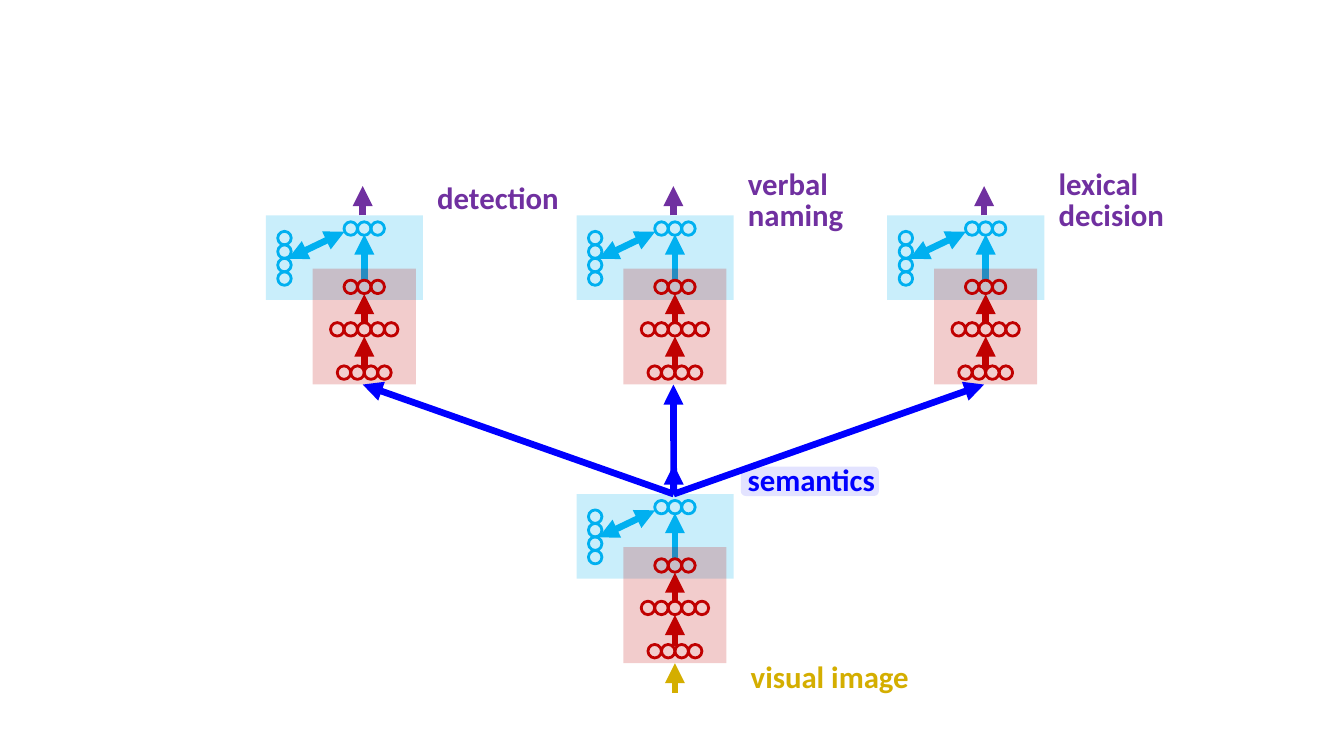
from dataclasses import dataclass

from pptx import Presentation
from pptx.dml.color import RGBColor
from pptx.enum.shapes import MSO_CONNECTOR, MSO_SHAPE
from pptx.enum.text import MSO_AUTO_SIZE
from pptx.oxml.ns import qn
from pptx.util import Cm, Pt
from lxml.etree import SubElement


@dataclass(frozen=True)
class Theme:
    sky: RGBColor = RGBColor(0x00, 0xB0, 0xF0)
    red: RGBColor = RGBColor(0xC0, 0x00, 0x00)
    blue: RGBColor = RGBColor(0x00, 0x00, 0xFF)
    purple: RGBColor = RGBColor(0x70, 0x30, 0xA0)
    gold: RGBColor = RGBColor(0xD4, 0xAE, 0x00)
    font: str = "Calibri"
    label_size: Pt = Pt(22)
    label_spacing: Pt = Pt(22.4)
    arrow_width: Pt = Pt(4.75)
    unit_width: Pt = Pt(2)


THEME = Theme()
UNIT = 0.34
AXIS = 2.48
MODULE_LEFTS = (6.7, 14.53, 22.36)
TASK_TOP = 5.43
SEMANTICS_TOP = 12.45
MODULE_HEIGHT = 4.26
RED_ROWS = ((3, 1.8), (5, 2.87), (4, 3.96))


def apply_format(target, values):
    for name, value in values.items():
        setattr(target, name, value)


def add_panel(shapes, left, top, width, height, color, opacity, kind=MSO_SHAPE.RECTANGLE):
    panel = shapes.add_shape(kind, Cm(left), Cm(top), Cm(width), Cm(height))
    panel.shadow.inherit = False
    panel.fill.solid()
    panel.fill.fore_color.rgb = color
    panel.line.fill.background()
    tint = panel.element.spPr.find(qn("a:solidFill")).find(qn("a:srgbClr"))
    SubElement(tint, qn("a:alpha"), val=str(opacity * 1000))


def add_unit(shapes, center_x, center_y, color):
    unit = shapes.add_shape(
        MSO_SHAPE.OVAL, Cm(center_x - UNIT / 2), Cm(center_y - UNIT / 2), Cm(UNIT), Cm(UNIT)
    )
    unit.shadow.inherit = False
    unit.fill.background()
    unit.line.color.rgb = color
    unit.line.width = THEME.unit_width


def add_unit_row(shapes, count, center_x, center_y, color):
    for index in range(count):
        add_unit(shapes, center_x + (index - (count - 1) / 2) * UNIT, center_y, color)


def add_arrow(shapes, start, end, color, ends=("tailEnd",)):
    arrow = shapes.add_connector(MSO_CONNECTOR.STRAIGHT, *map(Cm, start + end))
    arrow.line.color.rgb = color
    arrow.line.width = THEME.arrow_width
    properties = arrow.element.spPr
    for name in ends:
        SubElement(properties.find(qn("a:ln")), qn(f"a:{name}"), type="triangle")
    SubElement(properties, qn("a:effectLst"))


def add_module(page, left, top):
    shapes = page.shapes.add_group_shape().shapes
    axis = left + AXIS

    def add_axis_arrow(start, end, color):
        add_arrow(shapes, (axis, top + start), (axis, top + end), color)

    add_panel(shapes, left, top, 3.96, 2.13, THEME.sky, 21)
    add_unit_row(shapes, 3, axis, top + 0.33, THEME.sky)
    for index in range(4):
        add_unit(shapes, left + 0.47, top + 0.57 + index * UNIT, THEME.sky)
    add_axis_arrow(1.63, 0.48, THEME.sky)
    add_arrow(
        shapes, (left + 0.56, top + 1.09), (left + 1.98, top + 0.41),
        THEME.sky, ("headEnd", "tailEnd"),
    )
    add_panel(shapes, left + 1.18, top + 1.34, 2.6, 2.92, THEME.red, 20)
    for count, offset in RED_ROWS:
        add_unit_row(shapes, count, axis, top + offset, THEME.red)
    add_axis_arrow(3.84, 3.05, THEME.red)
    add_axis_arrow(2.72, 1.98, THEME.red)


def add_label(page, text, left, top, width, height, color, spacing=None):
    box = page.shapes.add_textbox(Cm(left), Cm(top), Cm(width), Cm(height))
    frame = box.text_frame
    apply_format(frame, {"text": text, "word_wrap": False, "auto_size": MSO_AUTO_SIZE.SHAPE_TO_FIT_TEXT})
    for para in frame.paragraphs:
        para.line_spacing = spacing
        for span in para.runs:
            apply_format(span.font, {"name": THEME.font, "size": THEME.label_size, "bold": True})
            span.font.color.rgb = color


def add_task(page, left, text, label_top, label_width, label_height):
    add_module(page, left, TASK_TOP)
    output_x = left + AXIS - 0.04
    add_arrow(page.shapes, (output_x, TASK_TOP), (output_x, TASK_TOP - 0.74), THEME.purple)
    add_arrow(
        page.shapes, (MODULE_LEFTS[1] + AXIS - 0.03, SEMANTICS_TOP),
        (output_x, TASK_TOP + MODULE_HEIGHT), THEME.blue,
    )
    add_label(
        page, text, left + 4.07, label_top, label_width, label_height,
        THEME.purple, THEME.label_spacing,
    )


def add_semantics(page):
    left = MODULE_LEFTS[1]
    axis = left + AXIS
    bottom = SEMANTICS_TOP + MODULE_HEIGHT
    add_arrow(page.shapes, (axis - 0.03, SEMANTICS_TOP), (axis - 0.03, SEMANTICS_TOP - 0.74), THEME.blue)
    add_module(page, left, SEMANTICS_TOP)
    add_arrow(page.shapes, (axis, bottom + 0.74), (axis, bottom), THEME.gold)
    add_label(page, "visual image", 18.67, 16.46, 4.55, 1.19, THEME.gold)
    add_label(page, "semantics", 18.59, 11.48, 3.76, 1.19, THEME.blue)


def main():
    deck = Presentation()
    apply_format(deck, {"slide_width": Cm(33.87), "slide_height": Cm(19.05)})
    page = deck.slides.add_slide(deck.slide_layouts[6])
    add_semantics(page)
    tasks = (
        ("detection", 4.52, 3.61, 1.04),
        ("verbal\vnaming", 4.17, 2.95, 1.83),
        ("lexical\ndecision", 4.17, 3.2, 1.83),
    )
    for left, task in zip(MODULE_LEFTS, tasks):
        add_task(page, left, *task)
    add_panel(page.shapes, 18.67, 11.76, 3.48, 0.74, THEME.blue, 11, MSO_SHAPE.ROUNDED_RECTANGLE)
    deck.save("out.pptx")


if __name__ == "__main__":
    main()
